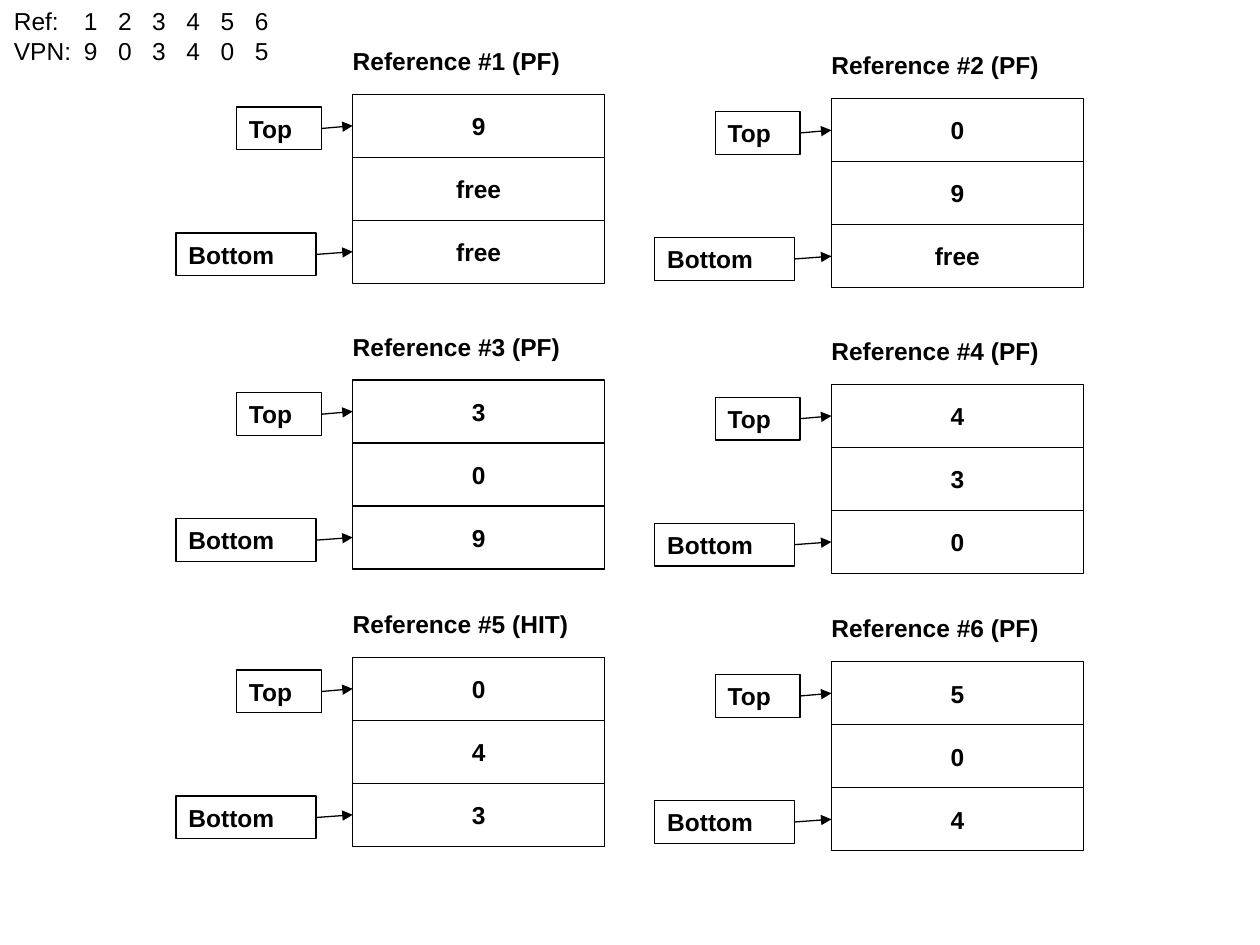
from lxml import etree
from pptx import Presentation
from pptx.dml.color import RGBColor
from pptx.enum import shapes, text
from pptx.oxml import ns
from pptx.util import Cm, Pt

BLACK = RGBColor(0, 0, 0)

# Content: page references and the stack, top to bottom, after each one
ACCESSES = [("Ref:", "123456"), ("VPN:", "903405")]
STACKS = [
    ("Reference #1 (PF)", ("9", "free", "free")),
    ("Reference #2 (PF)", ("0", "9", "free")),
    ("Reference #3 (PF)", ("3", "0", "9")),
    ("Reference #4 (PF)", ("4", "3", "0")),
    ("Reference #5 (HIT)", ("0", "4", "3")),
    ("Reference #6 (PF)", ("5", "0", "4")),
]
# Pointer label, stack row, offset left of the stack, width
POINTERS = [("Top", 0, 2.34, 1.71), ("Bottom", 2, 3.56, 2.82)]

# Layout in centimetres
STACK_LEFTS = (7.11, 16.76)
STACK_TOPS = (1.9, 7.66, 13.25)
RIGHT_DROP = 0.09
FRAME_W, FRAME_H = 5.08, 1.27
POINTER_H, POINTER_DROP = 0.86, 0.26
FIRST_TAB, TAB_STEP = 1.41, 0.69


def write(frame, words, align=text.PP_ALIGN.LEFT, bold=True):
    frame.word_wrap = True
    frame.text = words
    for paragraph in frame.paragraphs:
        paragraph.alignment = align
        font = paragraph.font
        font.name, font.size, font.bold = "Arial", Pt(14), bold
        font.color.rgb = BLACK


def add_label(slide, words, left, top, width, height, bold=True):
    label = slide.shapes.add_textbox(Cm(left), Cm(top), Cm(width), Cm(height))
    write(label.text_frame, words, bold=bold)
    return label.text_frame


def add_box(slide, words, left, top, width, height, align):
    box = slide.shapes.add_shape(shapes.MSO_SHAPE.RECTANGLE,
                                 Cm(left), Cm(top), Cm(width), Cm(height))
    box.shadow.inherit = False
    box.fill.background()
    box.line.color.rgb, box.line.width = BLACK, Pt(0.75)
    write(box.text_frame, words, align)
    box.text_frame.vertical_anchor = text.MSO_ANCHOR.MIDDLE


def add_arrow(slide, x1, y1, x2, y2):
    arrow = slide.shapes.add_connector(shapes.MSO_CONNECTOR.STRAIGHT,
                                       Cm(x1), Cm(y1), Cm(x2), Cm(y2))
    arrow.line.color.rgb, arrow.line.width = BLACK, Pt(0.75)
    etree.SubElement(arrow.line._get_or_add_ln(), ns.qn("a:tailEnd"), type="triangle")
    etree.SubElement(arrow._element.spPr, ns.qn("a:effectLst"))


def add_stack(slide, title, pages, left, top):
    add_label(slide, title, left - 0.25, top - 1.1, 5.23, 0.84)
    for row, page in enumerate(pages):
        add_box(slide, page, left, top + row * FRAME_H, FRAME_W, FRAME_H,
                text.PP_ALIGN.CENTER)
    for name, row, offset, width in POINTERS:
        row_top = top + row * FRAME_H
        pointer_left, pointer_top = left - offset, row_top + POINTER_DROP
        add_box(slide, name, pointer_left, pointer_top, width, POINTER_H,
                text.PP_ALIGN.LEFT)
        add_arrow(slide, pointer_left + width, pointer_top + POINTER_H / 2,
                  left, row_top + FRAME_H / 2)


def add_accesses(slide):
    lines = ["\t".join((name, *pages)) for name, pages in ACCESSES]
    frame = add_label(slide, "\n".join(lines), 0.03, 0, 12.7, 1.45, bold=False)
    for paragraph, (_, pages) in zip(frame.paragraphs, ACCESSES):
        # Tab stops come before the default run properties
        tabs = etree.Element(ns.qn("a:tabLst"))
        for i in range(len(pages)):
            etree.SubElement(tabs, ns.qn("a:tab"), algn="l",
                             pos=str(Cm(FIRST_TAB + i * TAB_STEP)))
        paragraph._p.get_or_add_pPr().insert(0, tabs)


def main():
    deck = Presentation()
    deck.slide_width, deck.slide_height = Cm(25.4), Cm(19.05)
    slide = deck.slides.add_slide(deck.slide_layouts[6])

    # Two columns, the right one slightly lower
    for i, (title, pages) in enumerate(STACKS):
        row, column = divmod(i, 2)
        add_stack(slide, title, pages, STACK_LEFTS[column],
                  STACK_TOPS[row] + column * RIGHT_DROP)
    add_accesses(slide)
    deck.save("out.pptx")


if __name__ == "__main__":
    main()
